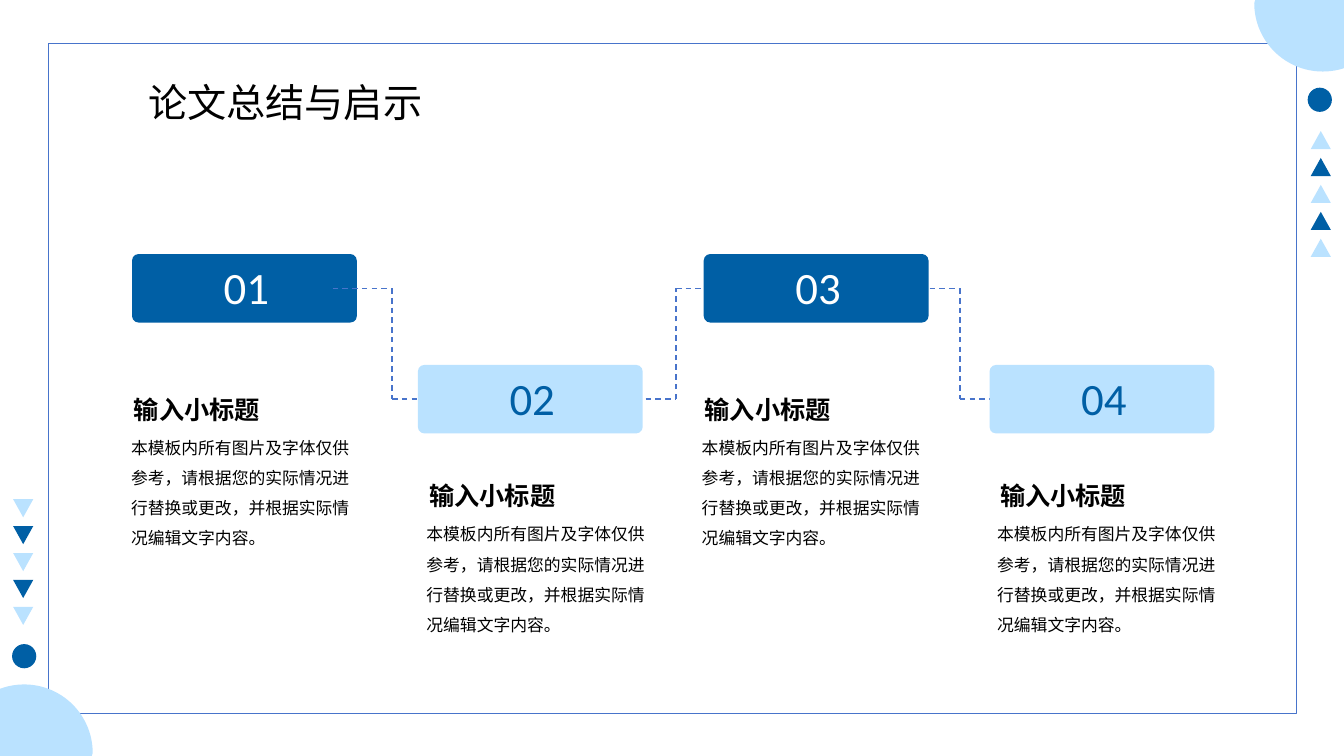
"""Build the thesis summary slide: four stepped cards with captions and corner ornaments."""
from math import cos, radians, sin

from lxml.etree import SubElement
from pptx import Presentation
from pptx.dml.color import RGBColor
from pptx.enum.dml import MSO_LINE
from pptx.enum.shapes import MSO_CONNECTOR, MSO_SHAPE as SHAPE
from pptx.enum.text import MSO_AUTO_SIZE
from pptx.oxml.ns import qn
from pptx.util import Inches, Pt

COLORS = {"dark": "005FA5", "light": "BAE2FF", "line": "4874CB", "black": "000000", "white": "FFFFFF"}
WIDTH, HEIGHT = 13.33, 7.5
BODY = "本模板内所有图片及字体仅供参考，请根据您的实际情况进行替换或更改，并根据实际情况编辑文字内容。"

deck = Presentation()
deck.slide_width, deck.slide_height = Inches(WIDTH), Inches(HEIGHT)
page = deck.slides.add_slide(deck.slide_layouts[6])


def paint(shape, color):
    shape.shadow.inherit = False
    shape.fill.solid()
    shape.fill.fore_color.rgb = RGBColor.from_string(COLORS[color])
    shape.line.fill.background()
    return shape


def add_text(text, place, size, color="black", bold=False, insets=(0.1, 0.05), spacing=None, wrap=True):
    box = page.shapes.add_textbox(*map(Inches, place))
    frame = box.text_frame
    frame.word_wrap = wrap
    frame.auto_size = MSO_AUTO_SIZE.SHAPE_TO_FIT_TEXT
    frame.margin_left = frame.margin_right = Inches(insets[0])
    frame.margin_top = frame.margin_bottom = Inches(insets[1])
    para = frame.paragraphs[0]
    para.line_spacing = spacing
    span = para.add_run()
    span.text = text
    for name, value in {"name": "Calibri", "size": Pt(size), "bold": bold}.items():
        setattr(span.font, name, value)
    span.font.color.rgb = RGBColor.from_string(COLORS[color])


border = page.shapes.add_shape(SHAPE.RECTANGLE, Inches(0.48), Inches(0.43), Inches(12.38), Inches(6.65))
border.shadow.inherit = False
border.fill.background()
border.line.color.rgb = RGBColor.from_string(COLORS["line"])
border.line.width = Pt(1)

arc = [(13.12 + 0.68 * cos(radians(angle)), 0.03 + 0.68 * sin(radians(angle))) for angle in range(69, 181, 3)]
corner = [(12.45, 0), (13.36, 0)] + arc
ornaments = [(SHAPE.ISOSCELES_TRIANGLE, 13, 1.3 + 0.267 * step, 0.2, 0.18, ("light", "dark")[step % 2])
             for step in range(5)]
ornaments.append((SHAPE.OVAL, 12.97, 0.87, 0.24, 0.24, "dark"))

for flipped in (False, True):
    points = [(13.36 - x, HEIGHT - y) if flipped else (x, y) for x, y in corner]
    outline = page.shapes.build_freeform(Inches(points[0][0]), Inches(points[0][1]), scale=1.0)
    outline.add_line_segments([(Inches(x), Inches(y)) for x, y in points[1:]], close=True)
    paint(outline.convert_to_shape(), "light")
    for kind, left, top, width, height, color in ornaments:
        if flipped:
            left, top = WIDTH - left - width, HEIGHT - top - height
        ornament = page.shapes.add_shape(kind, Inches(left), Inches(top), Inches(width), Inches(height))
        ornament.rotation = 180 if flipped else 0
        paint(ornament, color)

for index, left in enumerate((1.23, 4.16, 6.89, 9.82)):
    top = 3.86 + 0.86 * (index % 2)
    add_text(BODY, (left, top + 0.35, 2.46, 1.25), 12, insets=(0.07, 0.03), spacing=1.5)
    add_text("输入小标题", (left, top, 2.51, 0.4), 18, bold=True)

upper_cards, lower_cards = (0, 2), (1, 3)
layers = [("links", (1, 2)), ("cards", upper_cards), ("links", (0,)), ("cards", lower_cards)]
for layer, members in layers:
    for index in members:
        if layer == "cards":
            left, top = 1.31 + 2.835 * index, 2.52 + 1.1 * (index % 2)
            card = page.shapes.add_shape(SHAPE.ROUNDED_RECTANGLE, Inches(left), Inches(top),
                                         Inches(2.23), Inches(0.68))
            card.adjustments[0] = 0.095
            paint(card, ("dark", "light")[index % 2])
            add_text(f"{index + 1:02}", (left + 0.81, top + 0.01, 0.71, 0.64), 32,
                     color=("white", "dark")[index % 2], wrap=False)
            continue
        middle = 3.89 + 2.815 * index
        start, end = (2.86, 3.96) if index % 2 == 0 else (3.96, 2.86)
        bends = [(middle - 0.59, start), (middle, start), (middle, end), (middle + 0.59, end)]
        for near, far in zip(bends, bends[1:]):
            link = page.shapes.add_connector(MSO_CONNECTOR.STRAIGHT, *map(Inches, near + far))
            link.line.color.rgb = RGBColor.from_string(COLORS["line"])
            link.line.width = Pt(1)
            link.line.dash_style = MSO_LINE.DASH
            SubElement(link._element.spPr, qn("a:effectLst"))

add_text("论文总结与启示", (1.47, 0.78, 3.6, 0.47), 28, insets=(0, 0))

deck.save("out.pptx")
